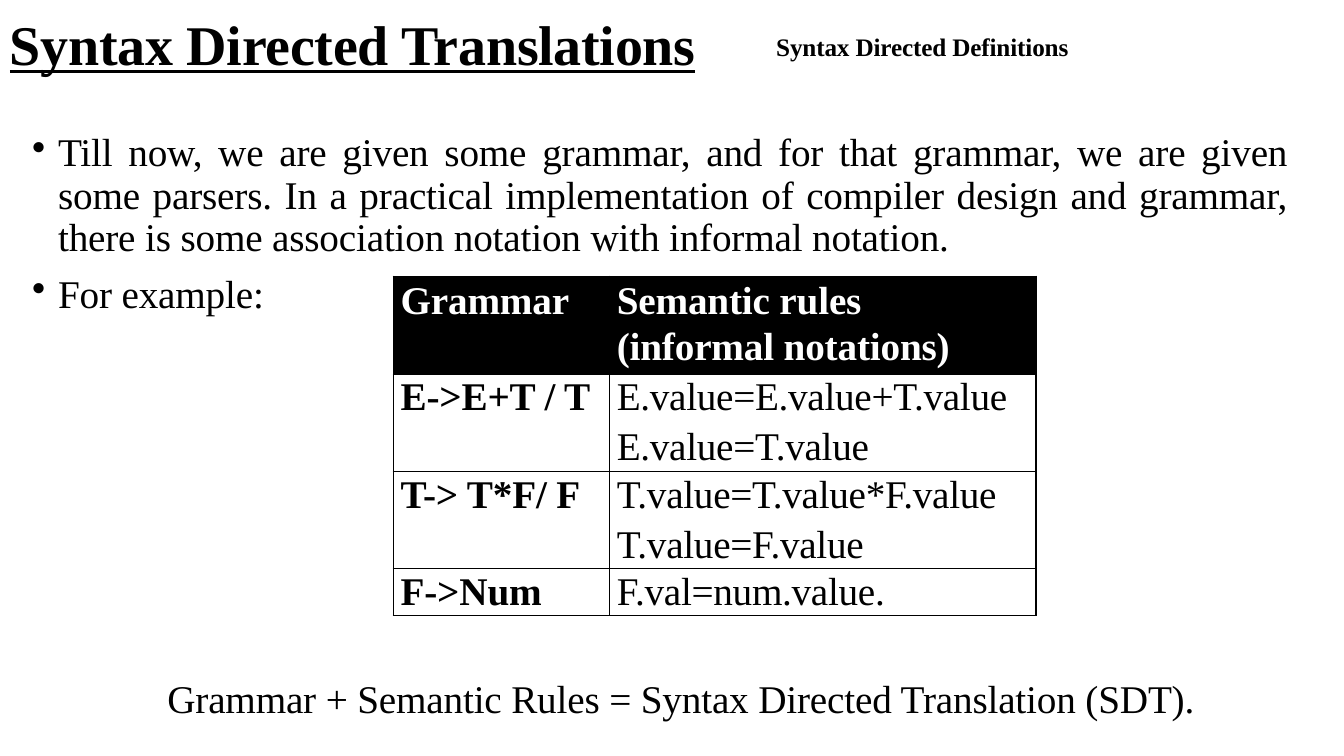
import pptx
import pptx.util
import pptx.dml.color
import pptx.enum.text
import pptx.oxml.ns
import lxml.etree
from dataclasses import dataclass

Pt = pptx.util.Pt
Align = pptx.enum.text.PP_ALIGN
qn = pptx.oxml.ns.qn


@dataclass(frozen=True)
class Theme:
    face: str = "Times New Roman"
    ink: str = "000000"
    paper: str = "FFFFFF"
    head: int = 40
    body: int = 28
    note: int = 18
    rule: int = 1


class Deck:
    def __init__(self, theme):
        self.theme = theme
        self.file = pptx.Presentation()
        self.file.slide_width, self.file.slide_height = Pt(960), Pt(540)
        self.slide = self.file.slides.add_slide(self.file.slide_layouts[5])

    def color(self, code):
        return pptx.dml.color.RGBColor.from_string(code)

    def style(self, para, size, bold=False, color=None, track=-0.1):
        font = para.font
        font.name, font.size, font.bold = self.theme.face, Pt(size), bold
        font.color.rgb = self.color(color or self.theme.ink)
        para._p.pPr.find(qn("a:defRPr")).set("spc", str(round(track * 100)))
        return font

    def frame(self, shape, box, inset):
        shape.left, shape.top, shape.width, shape.height = map(Pt, box)
        frame = shape.text_frame
        frame.word_wrap = True
        frame.auto_size = pptx.enum.text.MSO_AUTO_SIZE.SHAPE_TO_FIT_TEXT
        frame.vertical_anchor = pptx.enum.text.MSO_ANCHOR.TOP
        frame.margin_left = frame.margin_right = frame.margin_bottom = 0
        frame.margin_top = Pt(inset)
        return frame

    def title(self, text, box):
        frame = self.frame(self.slide.shapes.title, box, 1.6)
        frame.text = text
        para = frame.paragraphs[0]
        para.alignment = Align.LEFT
        self.style(para, self.theme.head, True, track=-0.2).underline = True

    def label(self, text, box, size, bold=False):
        frame = self.frame(self.slide.shapes.add_textbox(0, 0, 0, 0), box, 1.7)
        frame.text = text
        self.style(frame.paragraphs[0], size, bold)

    def bullets(self, items, box, indent, gap):
        frame = self.frame(self.slide.shapes.add_textbox(0, 0, 0, 0), box, 8.6)
        frame.text = "\n".join(items)
        for num, para in enumerate(frame.paragraphs):
            props = para._p.get_or_add_pPr()
            props.set("marL", str(Pt(indent)))
            props.set("indent", str(-Pt(indent)))
            lxml.etree.SubElement(props, qn("a:buChar")).set("char", "•")
            para.alignment = Align.JUSTIFY
            if num:
                para.space_before = Pt(gap)
            else:
                para.line_spacing = 0.9
            self.style(para, self.theme.body)

    def border(self, cell):
        props = cell._tc.get_or_add_tcPr()
        for num, side in enumerate(("lnL", "lnR", "lnT", "lnB")):
            line = lxml.etree.Element(qn("a:" + side), w=str(Pt(self.theme.rule)))
            fill = lxml.etree.SubElement(line, qn("a:solidFill"))
            lxml.etree.SubElement(fill, qn("a:srgbClr"), val=self.theme.ink)
            props.insert(num, line)

    def cell(self, cell, text, lead, head, bold):
        cell.margin_left = Pt(5.4)
        cell.margin_right = cell.margin_top = cell.margin_bottom = 0
        if head:
            cell.fill.solid()
            cell.fill.fore_color.rgb = self.color(self.theme.ink)
        else:
            cell.fill.background()
        self.border(cell)
        cell.text = text
        for num, para in enumerate(cell.text_frame.paragraphs):
            if num:
                para.space_before = Pt(2.2)
            if not (num and head):
                para.line_spacing = Pt(33.5 if num else lead)
            color = self.theme.paper if head else self.theme.ink
            self.style(para, self.theme.body, bold, color, -0.1 if bold else -0.2)

    def table(self, rows, left, top, widths, sizes):
        grid = self.slide.shapes.add_table(
            len(rows), len(widths), Pt(left), Pt(top),
            Pt(sum(widths)), Pt(sum(high for high, lead in sizes))).table
        grid.first_row = grid.horz_banding = False
        for col, wide in zip(grid.columns, widths):
            col.width = Pt(wide)
        for r, (row, (high, lead)) in enumerate(zip(rows, sizes)):
            grid.rows[r].height = Pt(high)
            for c, text in enumerate(row):
                self.cell(grid.cell(r, c), text, lead, r == 0, r == 0 or c == 0)


def main():
    theme = Theme()
    deck = Deck(theme)

    # Heading and topic
    deck.title("Syntax Directed Translations", (7, 5, 497.5, 49.7))
    deck.label("Syntax Directed Definitions", (554.4, 21, 214, 23.8), theme.note, True)

    # Main points
    deck.bullets([
        "Till now, we are given some grammar, and for that grammar, we are given "
        "some parsers. In a practical implementation of compiler design and grammar, "
        "there is some association notation with informal notation.",
        "For example:",
    ], (23, 86.4, 897, 136.8), 18.5, 6.7)

    # Grammar and its rules
    deck.table([
        ("Grammar", "Semantic rules\n(informal notations)"),
        ("E->E+T / T", "E.value=E.value+T.value\nE.value=T.value"),
        ("T-> T*F/ F", "T.value=T.value*F.value\nT.value=F.value"),
        ("F->Num", "F.val=num.value."),
    ], 280.8, 197.3, (154.4, 304.8),
        ((70.2, 33.1), (69.4, 32.1), (69.4, 32.6), (33.6, 32.5)))

    # Summary
    deck.label("Grammar + Semantic Rules = Syntax Directed Translation (SDT).",
               (119.5, 480.2, 743, 35.3), theme.body)

    deck.file.save("out.pptx")


if __name__ == "__main__":
    main()
